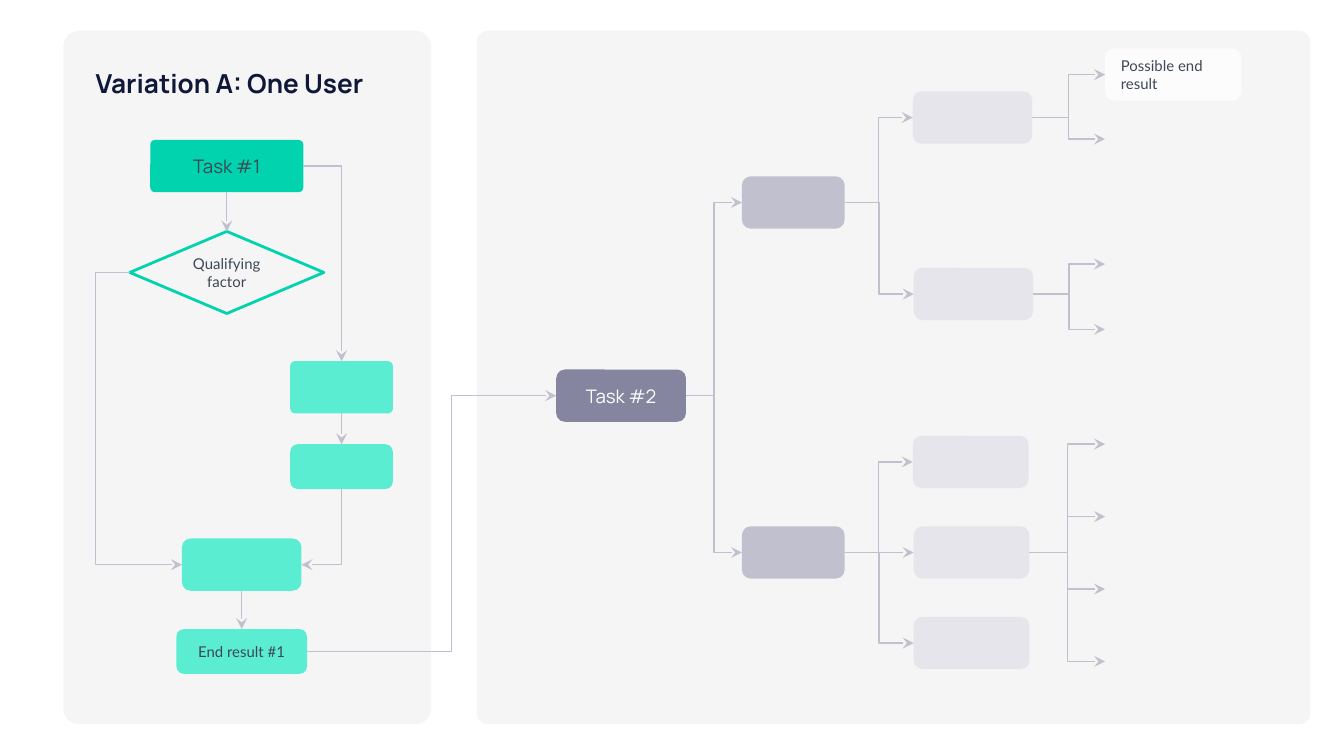
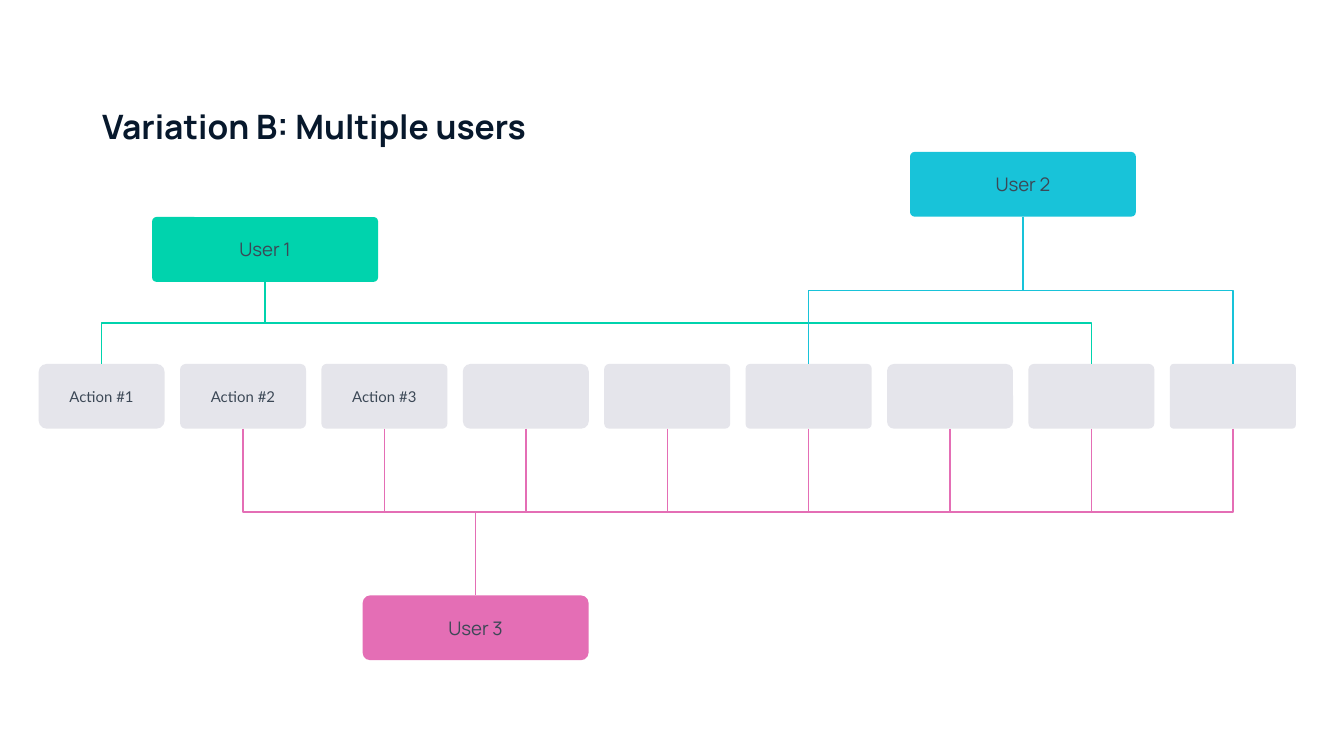
from lxml import etree
from pptx import Presentation
from pptx.dml.color import RGBColor
from pptx.enum.shapes import MSO_CONNECTOR, MSO_SHAPE
from pptx.enum.text import MSO_ANCHOR, MSO_AUTO_SIZE, PP_ALIGN
from pptx.oxml.ns import qn
from pptx.util import Pt

ROUND, DIAMOND = MSO_SHAPE.ROUNDED_RECTANGLE, MSO_SHAPE.DIAMOND
STRAIGHT, ELBOW = MSO_CONNECTOR.STRAIGHT, MSO_CONNECTOR.ELBOW
LEFT, CENTER = PP_ALIGN.LEFT, PP_ALIGN.CENTER

WHITE, PANEL, PALE, GREY, SLATE = "FCFCFC", "F5F5F5", "E5E5EB", "C1C0CE", "85859F"
GREEN, MINT, BLUE, PINK, TEXT = "00D3AD", "5AEDD2", "18C3D9", "E46EB5", "3C4856"

HEAD = {"name": "Manrope", "size": Pt(10)}
BODY = {"name": "Lato", "size": Pt(8)}
INSETS = {"margin_left": Pt(7.2), "margin_right": Pt(7.2),
          "margin_top": Pt(7.2), "margin_bottom": Pt(7.2), "word_wrap": True}

rgb = RGBColor.from_string


def box(s, at, fill, text="", fmt=BODY, color=TEXT, align=CENTER, corner=0.167,
        outline=None):
    """Draw a rounded box, or a hollow diamond when an outline is given."""
    sp = s.shapes.add_shape(DIAMOND if outline else ROUND, *map(Pt, at))
    sp.shadow.inherit = False
    if outline:
        sp.fill.background()
        sp.line.color.rgb = rgb(outline)
        sp.line.width = Pt(1.5)
    else:
        sp.adjustments[0] = corner
        sp.fill.solid()
        sp.fill.fore_color.rgb = rgb(fill)
        sp.line.fill.background()
    if text:
        tf = sp.text_frame
        for key, value in INSETS.items():
            setattr(tf, key, value)
        tf.vertical_anchor = MSO_ANCHOR.MIDDLE
        p = tf.paragraphs[0]
        p.alignment = align
        r = p.add_run()
        r.text = text
        for key, value in fmt.items():
            setattr(r.font, key, value)
        r.font.color.rgb = rgb(color)


def link(s, start, end, color=GREY, bend=0.5, upright=False, arrow=True):
    """Join two points; bend None gives a single corner, upright leaves vertically."""
    (x1, y1), (x2, y2) = start, end
    straight = x1 == x2 or y1 == y2
    turned = upright and not straight
    if turned:
        cx, cy, dx, dy = (x1 + x2) / 2, (y1 + y2) / 2, (x2 - x1) / 2, (y2 - y1) / 2
        x1, y1, x2, y2 = cx - dy, cy + dx, cx + dy, cy - dx
    c = s.shapes.add_connector(STRAIGHT if straight else ELBOW,
                               Pt(x1), Pt(y1), Pt(x2), Pt(y2))
    c.line.color.rgb = rgb(color)
    c.line.width = Pt(0.75)
    pr = c._element.spPr
    if turned:
        pr.find(qn("a:xfrm")).set("rot", "5400000")
    geom = pr.find(qn("a:prstGeom"))
    if bend is None:
        geom.set("prst", "bentConnector2")
    elif not straight:
        etree.SubElement(geom.find(qn("a:avLst")), qn("a:gd"), name="adj1",
                         fmla=f"val {round(bend * 100000)}")
    if arrow:
        etree.SubElement(pr.find(qn("a:ln")), qn("a:tailEnd"), type="stealth")
    etree.SubElement(pr, qn("a:effectLst"))


prs = Presentation()
prs.slide_width, prs.slide_height = Pt(720), Pt(405)

# Titles
titles = [
    ("Variation A: One User", (44, 29, 178, 31.5), 14, "0F1838"),
    ("Variation B: Multiple users", (47.5, 49.7, 309.6, 42.5), 18, "07182C"),
]
slides = []
for text, at, size, color in titles:
    s = prs.slides.add_slide(prs.slide_layouts[5])
    slides.append(s)
    if len(slides) == 1:
        box(s, (255.5, 16.5, 446.5, 371.5), PANEL, corner=0.016)
        box(s, (34, 16.5, 197, 371.5), PANEL, corner=0.043)
        # The title stands on the left panel
        s.shapes._spTree.append(s.shapes.title._element)
    title = s.shapes.title
    title.left, title.top, title.width, title.height = map(Pt, at)
    tf = title.text_frame
    for key, value in INSETS.items():
        setattr(tf, key, value)
    tf.auto_size = MSO_AUTO_SIZE.NONE
    tf.vertical_anchor = MSO_ANCHOR.TOP
    p = tf.paragraphs[0]
    p.alignment = LEFT
    r = p.add_run()
    r.text = text
    for key, value in {"name": "Manrope", "size": Pt(size), "bold": True}.items():
        setattr(r.font, key, value)
    r.font.color.rgb = rgb(color)

# Slide 1: flow of one user
s = slides[0]
box(s, (80.5, 75, 82, 28), GREEN, "Task #1", HEAD, corner=0.092)
box(s, (69.5, 124, 104, 44), None, "Qualifying factor", outline=GREEN)
box(s, (155.5, 193.5, 55, 28), MINT, corner=0.093)
box(s, (155.5, 238, 55, 24), MINT)
box(s, (97.5, 288.5, 64, 28), MINT)
box(s, (94.5, 337, 70, 24), MINT, "End result #1")

link(s, (121.5, 103), (121.5, 124))
link(s, (162.5, 89), (183, 193.5), bend=None)
link(s, (183, 221.5), (183, 238))
link(s, (183, 262), (161.5, 302.5), bend=None, upright=True)
link(s, (69.5, 146), (97.5, 302.5), bend=-0.66)
link(s, (129.5, 316.5), (129.5, 337))
link(s, (164.5, 349), (298, 212), bend=0.58)

# Slide 1: decision tree, each node as left, top, width and fill
TREE_H = 28
tree = {
    "task": (298, 198, 69.5, SLATE),
    "upper": (397.5, 94.5, 55, GREY),
    "lower": (397.5, 282, 55, GREY),
    "upper 1": (489, 49, 64, PALE),
    "upper 2": (489.5, 143.5, 64, PALE),
    "lower 1": (489, 233.5, 62, PALE),
    "lower 2": (489.5, 282, 62, PALE),
    "lower 3": (489.5, 330.5, 62, PALE),
    "result 1": (592, 26, 73, WHITE),
    "result 2": (592, 60.5, 55, PANEL),
    "result 3": (592, 127.5, 55, PANEL),
    "result 4": (592, 162.5, 55, PANEL),
}
for i in range(4):
    tree[f"result {i + 5}"] = (592, 224 + 38.8 * i, 62, PANEL)
labels = {
    "task": {"text": "Task #2", "fmt": HEAD, "color": WHITE},
    "result 1": {"text": "Possible end result", "align": LEFT},
}
branches = {
    "task": ["upper", "lower"],
    "upper": ["upper 1", "upper 2"],
    "lower": ["lower 1", "lower 2", "lower 3"],
    "upper 1": ["result 1", "result 2"],
    "upper 2": ["result 3", "result 4"],
    "lower 2": ["result 5", "result 6", "result 7", "result 8"],
}
for name, (x, y, w, fill) in tree.items():
    box(s, (x, y, w, TREE_H), fill, **labels.get(name, {}))
for parent, children in branches.items():
    x, y, w, _ = tree[parent]
    for child in children:
        cx, cy = tree[child][:2]
        link(s, (x + w, y + TREE_H / 2), (cx, cy + TREE_H / 2))

# Slide 2: shared row of actions
s = slides[1]
ROW_X, ROW_Y, STEP, ACTION_W, BOX_H = 20.7, 195, 75.75, 67.5, 34.7
corners = [0.125, 0.087, 0.079, 0.117, 0.078, 0.07, 0.108, 0.085, 0.061]
centres = [ROW_X + STEP * i + ACTION_W / 2 for i in range(len(corners))]
for i, corner in enumerate(corners):
    box(s, (ROW_X + STEP * i, ROW_Y, ACTION_W, BOX_H), PALE,
        f"Action #{i + 1}" if i < 3 else "", corner=corner)

# Slide 2: users and the actions they take
USER_W = 121
users = [
    ("User 1", 81.5, 116.3, GREEN, 0.065, [0, 7]),
    ("User 2", 487.5, 81.4, BLUE, 0.072, [5, 8]),
    ("User 3", 194.3, 319, PINK, 0.116, range(1, 9)),
]
for name, x, y, fill, corner, actions in users:
    box(s, (x, y, USER_W, BOX_H), fill, name, HEAD, corner=corner)
    middle = x + USER_W / 2
    for i in actions:
        if y < ROW_Y:
            ends = (middle, y + BOX_H), (centres[i], ROW_Y)
        else:
            ends = (centres[i], ROW_Y + BOX_H), (middle, y)
        link(s, *ends, fill, upright=True, arrow=False)

prs.save("out.pptx")
